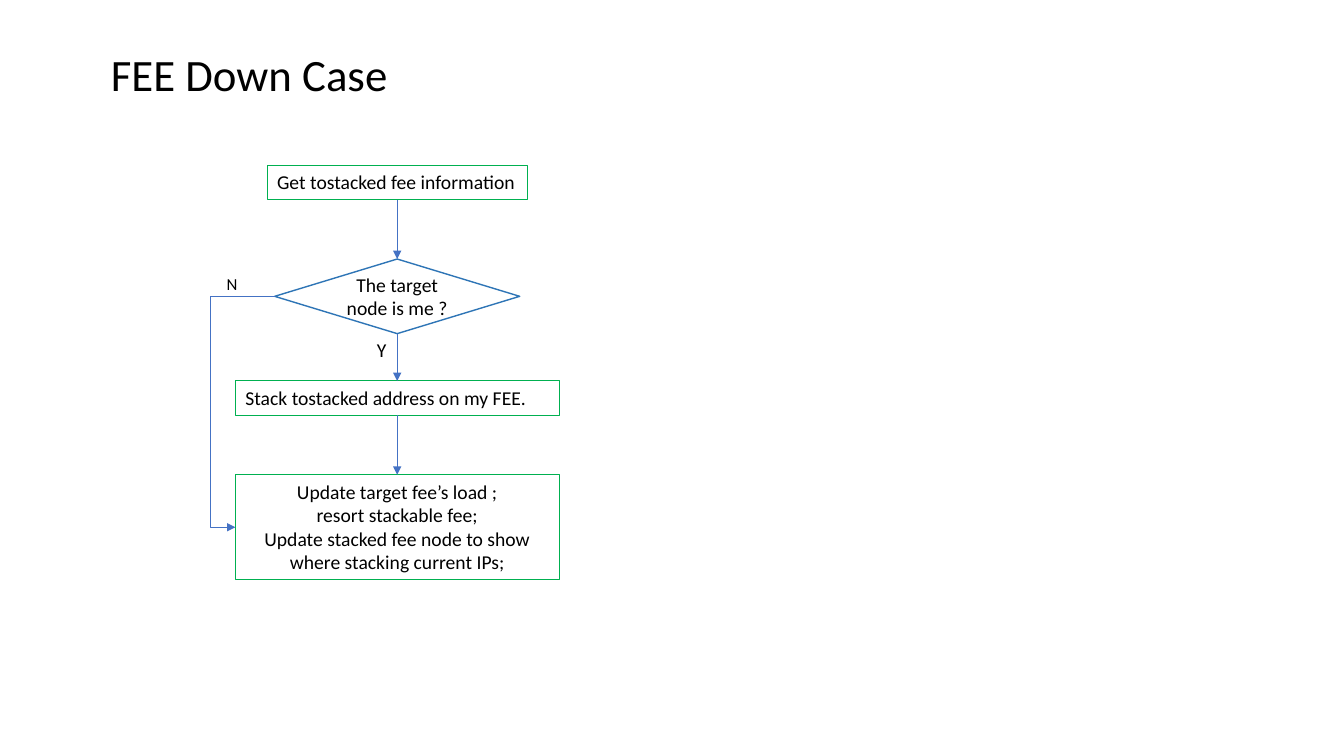
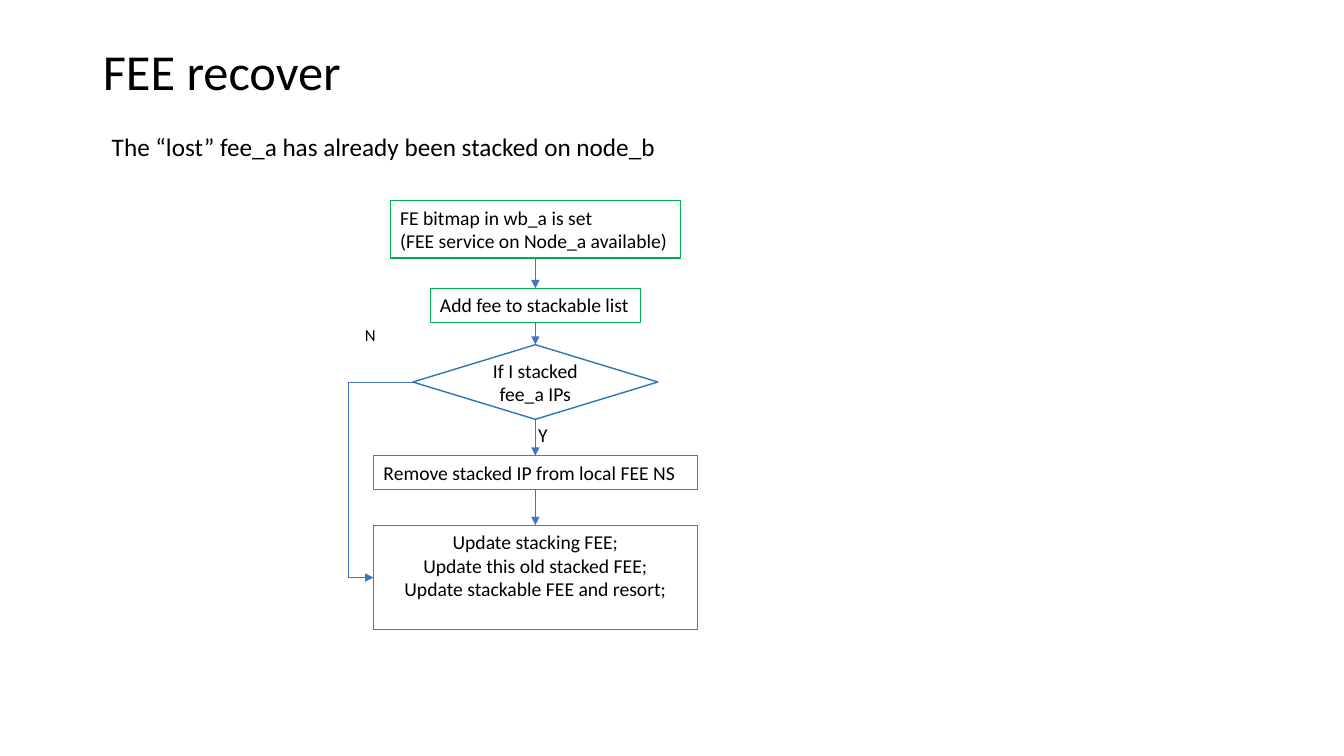
from lxml.etree import SubElement
from pptx import Presentation
from pptx.dml.color import RGBColor
from pptx.enum.shapes import MSO_CONNECTOR, MSO_SHAPE
from pptx.enum.text import MSO_ANCHOR, MSO_AUTO_SIZE, PP_ALIGN
from pptx.oxml.ns import qn
from pptx.util import Inches, Pt

BLACK = RGBColor(0x00, 0x00, 0x00)
GREEN = RGBColor(0x00, 0xB0, 0x50)
BLUE = RGBColor(0x2E, 0x75, 0xB6)
ARROW = RGBColor(0x44, 0x72, 0xC4)
FONT = "Calibri"
DETOUR = Inches(0.25)


def write(shape, text, size, align=PP_ALIGN.LEFT, anchor=MSO_ANCHOR.TOP, wrap=True):
    frame = shape.text_frame
    frame.text = text
    frame.word_wrap = wrap
    frame.auto_size = MSO_AUTO_SIZE.NONE
    frame.vertical_anchor = anchor
    for para in frame.paragraphs:
        para.alignment = align
        for run in para.runs:
            run.font.name = FONT
            run.font.size = Pt(size)
            run.font.color.rgb = BLACK


def add_title(slide, text, left, top, height, size):
    title = slide.shapes.title
    title.left, title.top = Inches(left), Inches(top)
    title.width, title.height = Inches(11.5), Inches(height)
    write(title, text, size)
    para = title.text_frame.paragraphs[0]
    para.line_spacing = 0.9
    para.space_before = Pt(10)


def add_label(slide, text, left, top, width=0.76, height=0.34, size=14, wrap=True):
    label = slide.shapes.add_textbox(
        Inches(left), Inches(top), Inches(width), Inches(height))
    write(label, text, size, wrap=wrap)


def add_node(slide, kind, mid, top, width, height, color, weight):
    node = slide.shapes.add_shape(
        kind, Inches(mid - width / 2), Inches(top), Inches(width), Inches(height))
    node.shadow.inherit = False
    node.fill.background()
    node.line.color.rgb = color
    node.line.width = Pt(weight)
    return node


def add_box(slide, text, mid, top, width=3.21, height=0.34,
            align=PP_ALIGN.LEFT, wrap=True):
    box = add_node(slide, MSO_SHAPE.RECTANGLE, mid, top, width, height, GREEN, 0.75)
    write(box, text, 14, align, wrap=wrap)
    return box


def add_test(slide, text, mid, top):
    test = add_node(slide, MSO_SHAPE.DIAMOND, mid, top, 2.43, 0.74, BLUE, 1)
    write(test, text, 14, PP_ALIGN.CENTER, MSO_ANCHOR.MIDDLE)
    return test


def add_arrow(slide, start, end, kind=MSO_CONNECTOR.STRAIGHT, sites=(2, 0)):
    arrow = slide.shapes.add_connector(kind, 0, 0, 0, 0)
    arrow.begin_connect(start, sites[0])
    arrow.end_connect(end, sites[1])
    arrow.line.color.rgb = ARROW
    arrow.line.width = Pt(0.5)
    SubElement(arrow.line._get_or_add_ln(), qn("a:tailEnd"), type="triangle")
    SubElement(arrow.element.spPr, qn("a:effectLst"))
    return arrow


def add_bypass(slide, test, last):
    arrow = add_arrow(slide, test, last, MSO_CONNECTOR.ELBOW, (1, 1))
    ratio = 1 + DETOUR / (test.left - last.left)
    shape = arrow.element.spPr.find(qn("a:prstGeom"))
    guides = shape.find(qn("a:avLst"))
    if guides is None:
        guides = SubElement(shape, qn("a:avLst"))
    SubElement(guides, qn("a:gd"), name="adj1", fmla=f"val {round(ratio * 100000)}")


def link(slide, nodes, test):
    for start, end in zip(nodes, nodes[1:]):
        add_arrow(slide, start, end)
    add_bypass(slide, test, nodes[-1])


def add_down(slide):
    mid = 3.94
    add_title(slide, "FEE Down Case", 1, 0.47, 0.92, 32)
    get = add_box(slide, "Get tostacked fee information", mid, 1.64, 2.58, wrap=False)
    test = add_test(slide, "The target node is me ?", mid, 2.57)
    stack = add_box(slide, "Stack tostacked address on my FEE.", mid, 3.78)
    update = add_box(
        slide,
        "Update target fee’s load ;\nresort stackable fee;\n"
        "Update stacked fee node to show where stacking current IPs;",
        mid, 4.71, height=1.04, align=PP_ALIGN.CENTER)
    link(slide, [get, test, stack, update], test)
    add_label(slide, "Y", 3.64, 3.3)
    add_label(slide, "N", 2.15, 2.67, height=0.3, size=12)


def add_recover(slide):
    mid = 5.31
    add_title(slide, "FEE recover", 0.92, 0.42, 0.88, 36)
    add_label(slide, "The “lost” fee_a has already been stacked on node_b",
              1.01, 1.25, 5.72, 0.4, 18, False)
    ready = add_box(
        slide, "FE bitmap in wb_a is set\n(FEE service on Node_a available)",
        mid, 1.99, 2.88, 0.57, wrap=False)
    add = add_box(slide, "Add fee to stackable list", mid, 2.86, 2.09, wrap=False)
    test = add_test(slide, "If I stacked fee_a IPs", mid, 3.42)
    remove = add_box(slide, "Remove stacked IP from local FEE NS", mid, 4.52)
    update = add_box(
        slide,
        "Update stacking FEE;\nUpdate this old stacked FEE;\n"
        "Update stackable FEE and resort;",
        mid, 5.21, height=1.04, align=PP_ALIGN.CENTER)
    link(slide, [ready, add, test, remove, update], test)
    add_label(slide, "Y", 5.24, 4.15)
    add_label(slide, "N", 3.52, 3.17, height=0.3, size=12)


def main():
    deck = Presentation()
    deck.slide_width, deck.slide_height = Inches(13.33), Inches(7.5)
    for build in (add_down, add_recover):
        build(deck.slides.add_slide(deck.slide_layouts[5]))
    deck.save("out.pptx")


if __name__ == "__main__":
    main()
